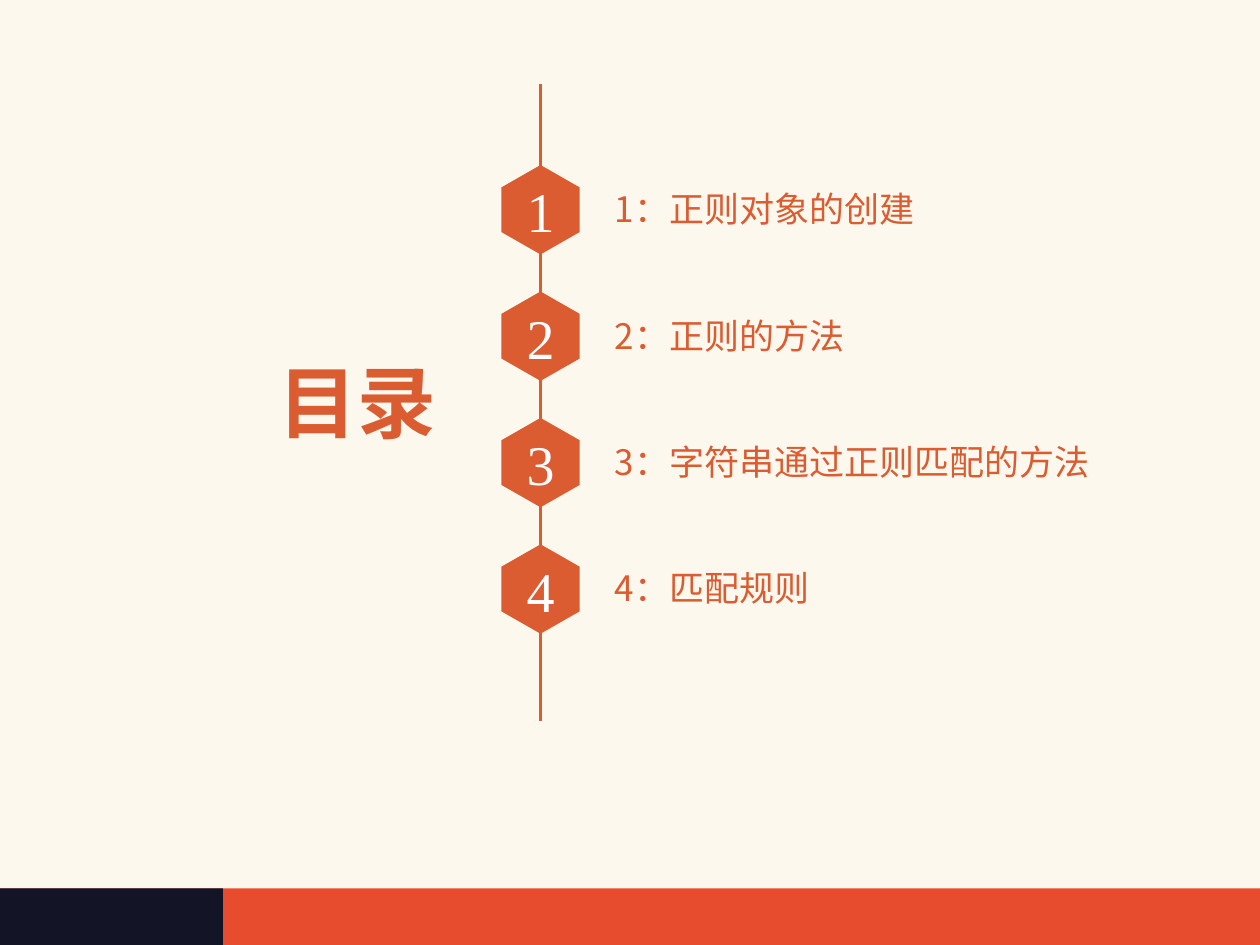
from pptx import Presentation
from pptx import util as u
from pptx.dml.color import RGBColor
from pptx.enum import shapes, text
from pptx.oxml import ns
from lxml import etree

HEX = {"cream": "FCF8ED", "red": "E74C2E", "navy": "131426",
       "rust": "DC5C31", "white": "FFFFFF"}
SANS = "Noto Sans CJK SC"
SERIF = "Times New Roman"

# Agenda entries with the width of each label
ITEMS = [("1：正则对象的创建", 2.49), ("2：正则的方法", 1.94),
         ("3：字符串通过正则匹配的方法", 3.88), ("4：匹配规则", 1.66)]
AXIS, TOP, STEP = 4.29, 1.31, 1.0033
HALF, TALL = 0.31, 0.71


def color(name):
    return RGBColor.from_string(HEX[name])


def apply(item, form):
    for key, value in form.items():
        setattr(item, key, value)


def paint(shape, name):
    shape.shadow.inherit = False
    shape.fill.solid()
    shape.fill.fore_color.rgb = color(name)
    shape.line.fill.background()


def add_bar(slide, name, *box):
    bar = slide.shapes.add_shape(shapes.MSO_SHAPE.RECTANGLE, *map(u.Inches, box))
    paint(bar, name)


def add_axis(slide, x, top, end):
    line = slide.shapes.add_connector(
        shapes.MSO_CONNECTOR.STRAIGHT, *map(u.Inches, (x, top, x, end)))
    line.line.color.rgb = color("rust")
    line.line.width = u.Pt(1.5)
    etree.SubElement(line._element.spPr, ns.qn("a:effectLst"))


def add_text(home, words, box, size, font, ink, bold=False, frame=None, align=None):
    area = home.shapes.add_textbox(*map(u.Inches, box)).text_frame
    edge = u.Inches(0.05)
    form = {"margin_left": edge, "margin_right": edge, "margin_top": edge,
            "margin_bottom": edge, "word_wrap": True,
            "auto_size": text.MSO_AUTO_SIZE.SHAPE_TO_FIT_TEXT}
    apply(area, {**form, **(frame or {})})
    para = area.paragraphs[0]
    para.alignment = align
    run = para.add_run()
    run.text = words
    apply(run.font, {"size": u.Pt(size), "name": font, "bold": bold})
    run.font.color.rgb = color(ink)
    # East Asian glyphs use the same face
    east = etree.SubElement(run.font._element, ns.qn("a:ea"))
    east.set("typeface", font)


def add_badge(slide, label, x, top):
    group = slide.shapes.add_group_shape()
    high, low = top + TALL / 4, top + TALL * 3 / 4
    points = [(x + HALF, high), (x + HALF, low), (x, top + TALL),
              (x - HALF, low), (x - HALF, high)]
    pen = group.shapes.build_freeform(u.Inches(x), u.Inches(top))
    pen.add_line_segments([(u.Inches(a), u.Inches(b)) for a, b in points])
    paint(pen.convert_to_shape(), "rust")
    add_text(group, label, (x - HALF, top + 0.06, 2 * HALF, 0.6), 32, SERIF, "white",
             frame={"vertical_anchor": text.MSO_ANCHOR.MIDDLE},
             align=text.PP_ALIGN.CENTER)


def main():
    deck = Presentation()
    apply(deck, {"slide_width": u.Inches(10), "slide_height": u.Inches(7.5)})
    slide = deck.slides.add_slide(deck.slide_layouts[6])

    # Backdrop and footer
    add_bar(slide, "cream", 0, 0, 10, 7.5)
    add_bar(slide, "red", 0, 7.05, 10, 0.45)
    add_bar(slide, "navy", 0, 7.05, 1.77, 0.45)

    # Agenda: axis, labels and numbered badges
    add_axis(slide, AXIS, 0.67, 5.72)
    for i, (words, wide) in enumerate(ITEMS):
        top = TOP + i * STEP
        add_text(slide, words, (4.83, top + 0.13, wide, 0.49), 20, SANS, "rust")
        add_badge(slide, str(i + 1), AXIS, top)

    # Title
    add_text(slide, "目录", (2.16, 2.76, 1.36, 0.98), 45, SANS, "rust",
             bold=True, frame={"word_wrap": False})
    deck.save("out.pptx")


if __name__ == "__main__":
    main()
